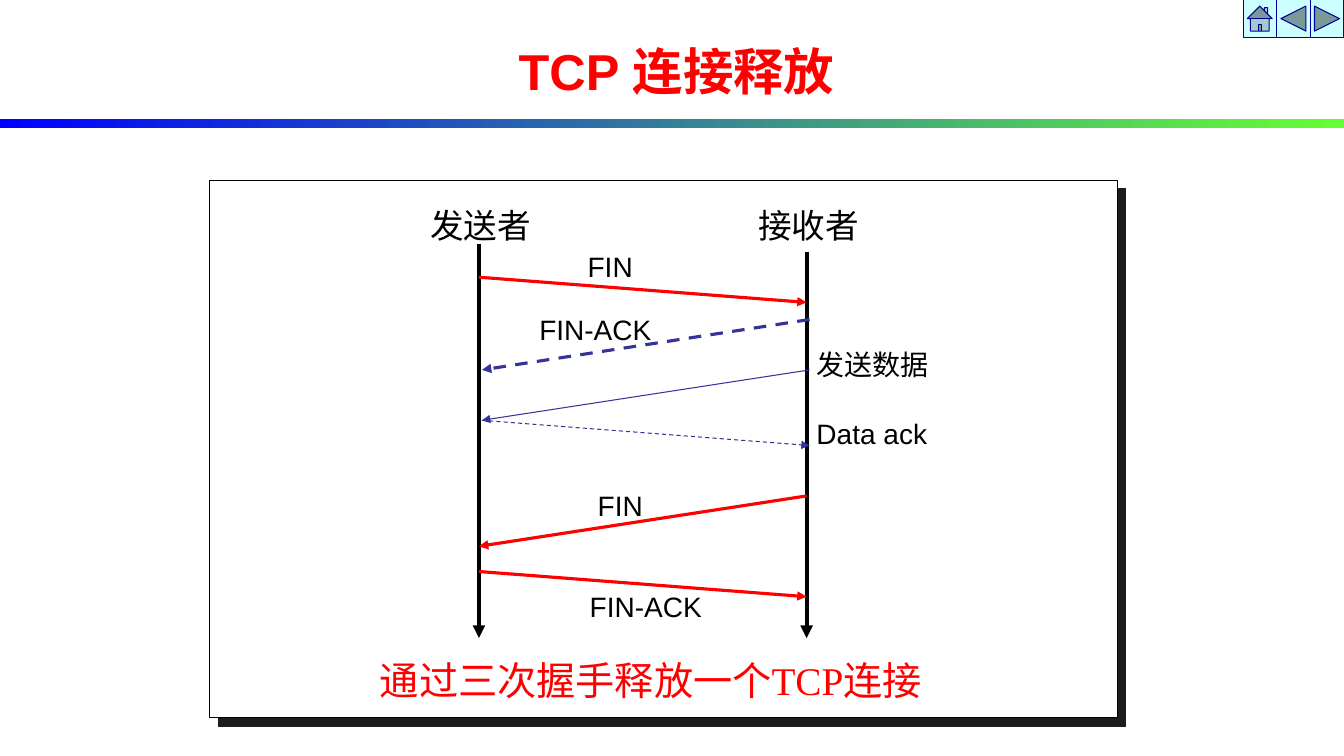
"""Build the slide on releasing a TCP connection."""
import pptx
import pptx.dml.color
import pptx.enum.dml
import pptx.enum.shapes
import pptx.enum.text
import pptx.oxml
import pptx.oxml.ns
import pptx.util

Inches = pptx.util.Inches
Pt = pptx.util.Pt
RGBColor = pptx.dml.color.RGBColor
Shape = pptx.enum.shapes.MSO_SHAPE
Dash = pptx.enum.dml.MSO_LINE
Anchor = pptx.enum.text.MSO_ANCHOR
AutoSize = pptx.enum.text.MSO_AUTO_SIZE

BLACK = RGBColor(0, 0, 0)
WHITE = RGBColor(255, 255, 255)
RED = RGBColor(255, 0, 0)
INDIGO = RGBColor(0x33, 0x33, 0x99)
NAVY = RGBColor(0, 0, 0x99)
PALE_CYAN = RGBColor(0xCC, 0xFF, 0xFF)
BLUE = RGBColor(0, 0, 255)
LIME = RGBColor(0x66, 0xFF, 0x33)

TITLE = "TCP 连接释放"
CAPTION = "通过三次握手释放一个TCP连接"
BUTTONS = [
    Shape.ACTION_BUTTON_HOME,
    Shape.ACTION_BUTTON_BACK_OR_PREVIOUS,
    Shape.ACTION_BUTTON_FORWARD_OR_NEXT,
]
SENDER_X, RECEIVER_X = 4.75, 8
LIFELINE_END = 6.33
LIFELINES = [("发送者", SENDER_X, 2.42), ("接收者", RECEIVER_X, 2.5)]
FORWARD_DROP, BACKWARD_DROP = 0.25, 0.5
# (start height, goes to receiver, shift right, colour, width, dashed)
MESSAGES = [
    (2.75, True, 0, RED, 2.25, False),
    (3.17, False, 0.03, INDIGO, 2.25, True),
    (3.67, False, 0.03, INDIGO, 0.75, False),
    (4.17, True, 0.03, INDIGO, 0.75, True),
    (4.92, False, 0, RED, 2.25, False),
    (5.67, True, 0, RED, 2.25, False),
]
LABELS = [
    ("FIN", 5.73, 2.43, 0.65),
    ("FIN-ACK", 5.25, 3.05, 1.31),
    ("发送数据", 8, 3.4, 1.31),
    ("Data ack", 8, 4.08, 1.3),
    ("FIN", 5.83, 4.8, 0.65),
    ("FIN-ACK", 5.75, 5.8, 1.31),
]


def add_child(parent, xml):
    """Append an element written as XML to a parent element."""
    namespace = pptx.oxml.ns.nsdecls("a")
    parent.append(pptx.oxml.parse_xml(xml.replace(" ", f" {namespace} ", 1)))


def add_block(page, kind, left, top, width, height, fill=None, line=None):
    """Add a preset shape without a shadow."""
    block = page.shapes.add_shape(
        kind, Inches(left), Inches(top), Inches(width), Inches(height))
    block.shadow.inherit = False
    if fill is not None:
        block.fill.solid()
        block.fill.fore_color.rgb = fill
    if line is None:
        block.line.fill.background()
    else:
        block.line.color.rgb = line
        block.line.width = Pt(0.75)
    return block


def add_arrow(page, start, end, colour, width, dashed=False):
    """Add a straight arrow between two points."""
    arrow = page.shapes.add_connector(
        pptx.enum.shapes.MSO_CONNECTOR.STRAIGHT,
        *[Inches(value) for value in start + end])
    arrow.line.color.rgb = colour
    arrow.line.width = Pt(width)
    if dashed:
        arrow.line.dash_style = Dash.DASH
    add_child(arrow.line._get_or_add_ln(), '<a:tailEnd type="triangle"/>')
    add_child(arrow._element.spPr, "<a:effectLst />")


def write(para, text, size, colour, font="Arial", bold=False):
    """Add one formatted run to a paragraph."""
    span = para.add_run()
    span.text = text
    span.font.size = Pt(size)
    span.font.name = font
    span.font.bold = bold
    span.font.color.rgb = colour


def add_text(page, text, left, top, width, height, size,
             colour=BLACK, font="Arial", wrap=False):
    """Add a text box with one line of text."""
    box = page.shapes.add_textbox(
        Inches(left), Inches(top), Inches(width), Inches(height))
    box.text_frame.word_wrap = wrap
    box.text_frame.auto_size = AutoSize.SHAPE_TO_FIT_TEXT
    write(box.text_frame.paragraphs[0], text, size, colour, font)


def add_header(page):
    """Place the navigation buttons, the gradient rule and the title."""
    for index, kind in enumerate(BUTTONS):
        left = 13.33 - (len(BUTTONS) - index) / 3
        add_block(page, kind, left, 0, 0.33, 0.37, PALE_CYAN, NAVY)
    rule = add_block(page, Shape.RECTANGLE, 0, 1.18, 13.33, 0.09)
    rule.fill.gradient()
    rule.fill.gradient_angle = 0
    for stop, colour in zip(rule.fill.gradient_stops, (BLUE, LIME)):
        stop.color.rgb = colour
    title = page.shapes.title
    title.left, title.top = Inches(2.46), Inches(0.35)
    title.width, title.height = Inches(8.5), Inches(1.25)
    title.text_frame.vertical_anchor = Anchor.TOP
    para = title.text_frame.paragraphs[0]
    para.alignment = pptx.enum.text.PP_ALIGN.CENTER
    write(para, TITLE, 36, RED, bold=True)


def add_diagram(page):
    """Draw the framed sequence diagram."""
    frame = add_block(page, Shape.RECTANGLE, 2.08, 1.79, 9, 5.33, WHITE, BLACK)
    add_child(
        frame._element.spPr.find(pptx.oxml.ns.qn("a:effectLst")),
        f'<a:outerShdw dist="{Pt(8.5)}" dir="2700000" algn="ctr" '
        'rotWithShape="0"><a:srgbClr val="1C1C1C"/></a:outerShdw>')
    for name, x, top in LIFELINES:
        add_arrow(page, (x, top), (x, LIFELINE_END), BLACK, 3)
        add_text(page, name, x - 0.58, 1.98, 1.2, 0.5, 24)
    for top, forward, shift, colour, width, dashed in MESSAGES:
        sender, receiver = SENDER_X + shift, RECEIVER_X + shift
        if forward:
            start, end = (sender, top), (receiver, top + FORWARD_DROP)
        else:
            start, end = (receiver, top), (sender, top + BACKWARD_DROP)
        add_arrow(page, start, end, colour, width, dashed)
    for text, left, top, width in LABELS:
        add_text(page, text, left, top, width, 0.43, 20)
    add_text(page, CAPTION, 3.67, 6.46, 6.48, 0.57, 28, RED,
             "Times New Roman", wrap=True)


def main():
    """Assemble and save the deck."""
    deck = pptx.Presentation()
    deck.slide_width, deck.slide_height = Inches(13.33), Inches(7.5)
    page = deck.slides.add_slide(deck.slide_layouts[5])
    add_header(page)
    add_diagram(page)
    deck.save("out.pptx")


if __name__ == "__main__":
    main()
